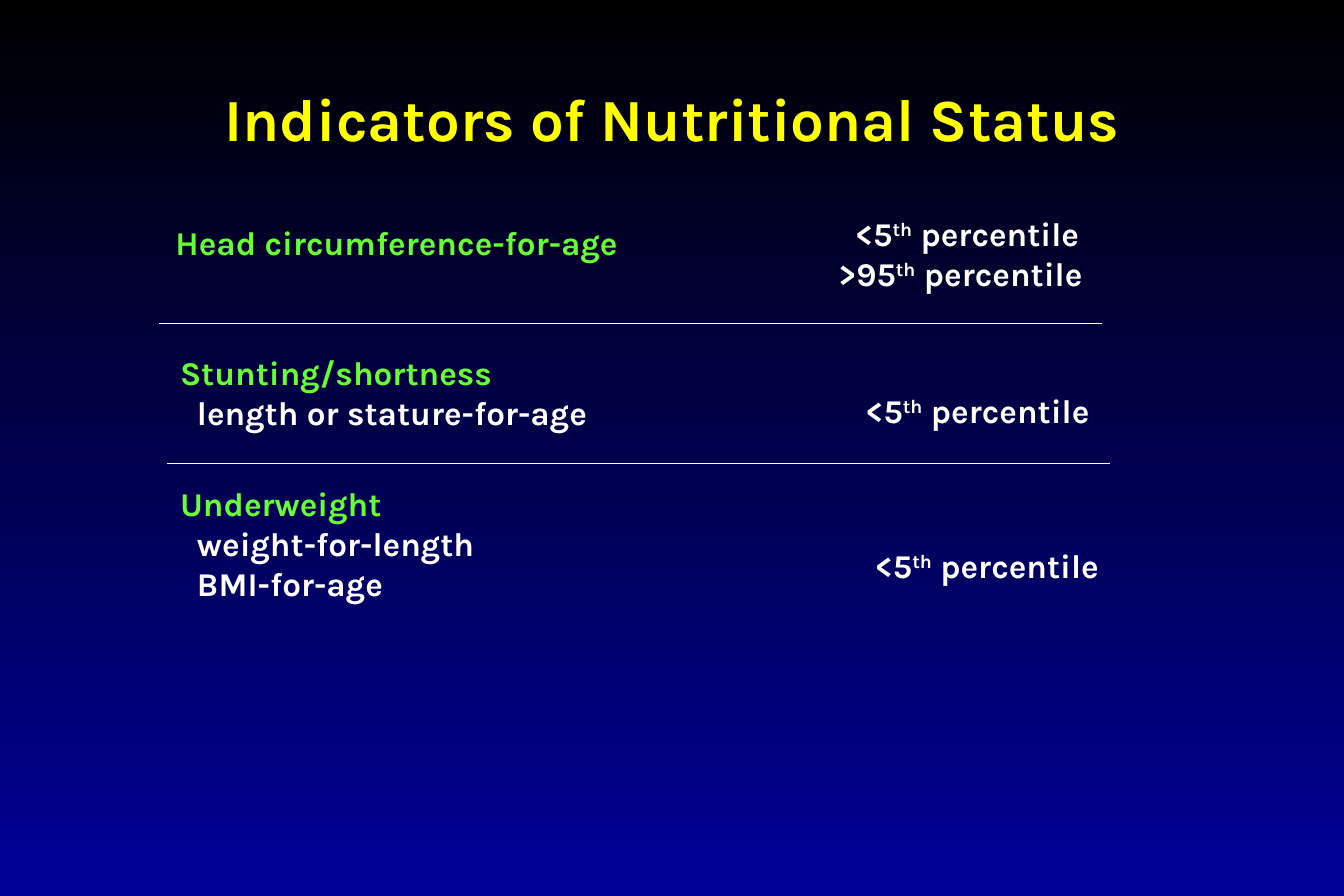
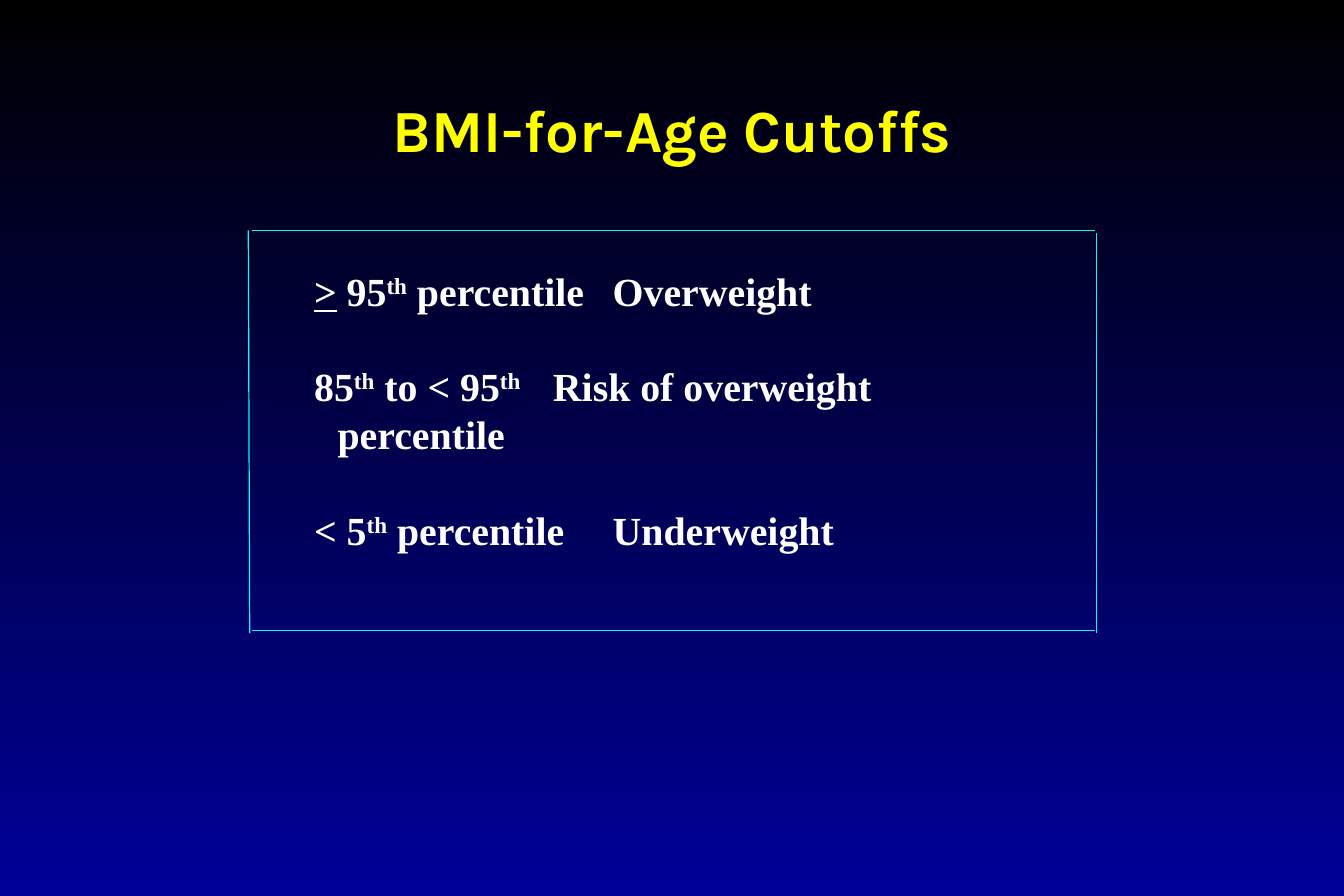
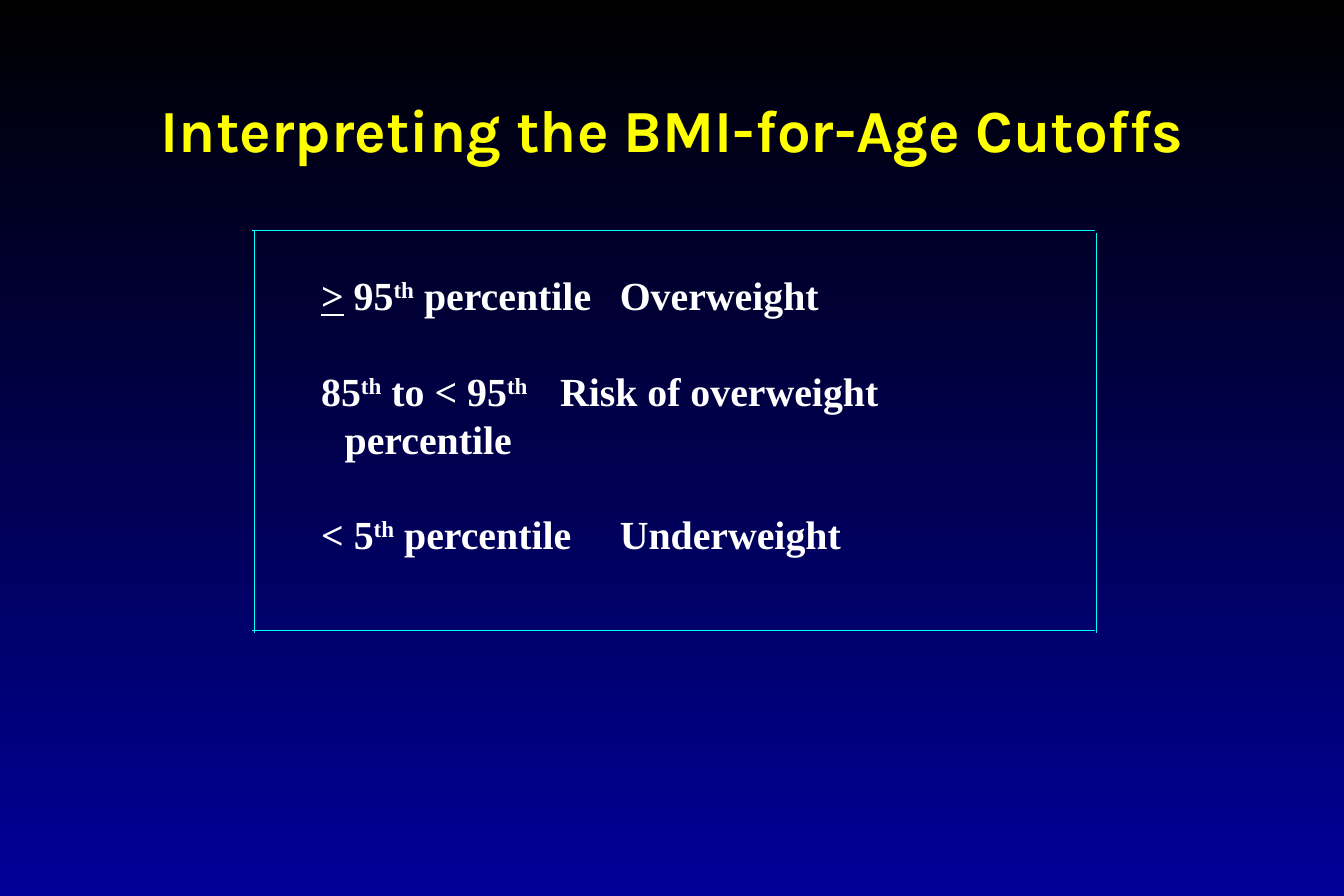
from dataclasses import dataclass

from lxml import etree
from pptx import Presentation
from pptx import util as u
from pptx.dml.color import RGBColor
from pptx.enum import shapes, text
from pptx.oxml.ns import qn


@dataclass(frozen=True)
class Theme:
    """Colours, fonts and type sizes shared by the slides."""
    top: str = "000000"
    bottom: str = "000099"
    title: str = "FFFF00"
    name: str = "66FF33"
    body: str = "FFFFFF"
    frame: str = "00FFFF"
    sans: str = "Karla"
    serif: str = "Times New Roman"
    title_pt: int = 36
    row_pt: int = 20
    cutoff_pt: int = 24
    leading_pt: float = 28.8
    rule_pt: float = 0.75


T = Theme()
WIDTH, HEIGHT = 28.58, 19.05
INDENT = 0.36


def rgb(color):
    """Return a colour object for a hex string."""
    return RGBColor.from_string(color)


def set_background(prs):
    """Give the master a vertical gradient."""
    fill = prs.slide_master.background.fill
    fill.gradient()
    fill.gradient_angle = 270
    for stop, color, position in zip(fill.gradient_stops, (T.top, T.bottom), (0, 1)):
        stop.color.rgb = rgb(color)
        stop.position = position


def add_text(s, x, y, w, h):
    """Add a wrapping text box and return its frame."""
    tf = s.shapes.add_textbox(*map(u.Cm, (x, y, w, h))).text_frame
    tf.word_wrap = True
    return tf


def style(r, font, size, color):
    """Format one bold run."""
    r.font.name, r.font.size, r.font.bold = font, u.Pt(size), True
    r.font.color.rgb = rgb(color)


def write_lines(tf, lines, font, size):
    """Write (text, colour, indent) lines; ^ separates ordinals and underlined signs."""
    for i, (line, color, indent) in enumerate(lines):
        p = tf.add_paragraph() if i else tf.paragraphs[0]
        pPr = p._p.get_or_add_pPr()
        pPr.set("marL", str(u.Cm(indent)))
        pPr.set("indent", "0")
        for part in filter(None, line.split("^")):
            r = p.add_run()
            r.text = part
            style(r, font, size, color)
            if part == "th":
                r.font._element.set("baseline", "30000")
            elif part == ">":
                r.font.underline = True


def add_rule(s, x1, y1, x2, y2, color):
    """Draw a thin straight line."""
    sp = s.shapes.add_connector(shapes.MSO_CONNECTOR.STRAIGHT, *map(u.Cm, (x1, y1, x2, y2)))
    sp.line.color.rgb = rgb(color)
    sp.line.width = u.Pt(T.rule_pt)
    etree.SubElement(sp._element.spPr, qn("a:effectLst"))


def add_title(s, title, y, h):
    """Place the centred title across the slide."""
    tf = add_text(s, 0, y, WIDTH, h)
    tf.vertical_anchor = text.MSO_ANCHOR.MIDDLE
    p = tf.paragraphs[0]
    p.text = title
    p.alignment = text.PP_ALIGN.CENTER
    style(p.runs[0], T.sans, T.title_pt, T.title)


def indicator_row(s, x, y, name, details, values, dx, dy):
    """Place an indicator with its details and, offset from it, its cutoffs."""
    lines = [(name, T.name, 0)] + [(d, T.body, INDENT) for d in details]
    write_lines(add_text(s, x, y, 11.18, len(lines)), lines, T.sans, T.row_pt)
    lines = [(v, T.body, indent) for v, indent in values]
    write_lines(add_text(s, x + dx, y + dy, 7.04, len(lines)), lines, T.sans, T.row_pt)


def indicators_slide(s):
    """Build the list of indicators divided by rules."""
    add_title(s, "Indicators of Nutritional Status", 0.91, 3.18)
    low = "<5^th^ percentile"
    high = ">95^th^ percentile"
    indicator_row(s, 3.48, 4.6, "Head circumference-for-age", [],
                  [(low, INDENT), (high, 0)], 14.1, -0.18)
    indicator_row(s, 3.58, 7.37, "Stunting/shortness", ["length or stature-for-age"],
                  [(low, 0)], 14.58, 0.81)
    indicator_row(s, 3.58, 10.16, "Underweight", ["weight-for-length", "BMI-for-age"],
                  [(low, 0)], 14.78, 1.3)
    for x, y in ((3.38, 6.88), (3.56, 9.86)):
        add_rule(s, x, y, x + 20.05, y, T.body)


def cutoff_frame(s, x, y, w, h, left_top, left_bottom):
    """Draw the four frame lines, with the left one shifted at each end."""
    for edge in (y, y + h):
        add_rule(s, x, edge, x + w, edge, T.frame)
    add_rule(s, x + left_top, y, x + left_bottom, y + h + 0.05, T.frame)
    add_rule(s, x + w + 0.03, y + 0.05, x + w + 0.03, y + h + 0.05, T.frame)


def cutoff_text(s, x, y, w, h, risk_tab):
    """Write the cutoffs and their meanings in two tabbed columns."""
    rows = [("^>^ 95^th^ percentile\tOverweight", 0, 7.85),
            ("85^th^ to < 95^th^\tRisk of overweight", 0, risk_tab),
            ("percentile", 0.5, None),
            ("< 5^th^ percentile\tUnderweight", 0, 7.85)]
    tf = add_text(s, x, y, w, h)
    write_lines(tf, [(line, T.body, indent) for line, indent, _ in rows], T.serif, T.cutoff_pt)
    for i, (p, (_, _, tab)) in enumerate(zip(tf.paragraphs, rows)):
        p.line_spacing = u.Pt(T.leading_pt)
        if tab:
            p.space_before = u.Pt(T.leading_pt if i else 0)
            tabs = etree.SubElement(p._p.get_or_add_pPr(), qn("a:tabLst"))
            etree.SubElement(tabs, qn("a:tab"), pos=str(u.Cm(tab)), algn="l")


def cutoffs_slide(s, title, left_top, left_bottom, dx, dy, risk_tab):
    """Build a framed slide of BMI cutoffs."""
    x, y, w, h = 5.36, 4.9, 17.93, 8.51
    add_title(s, title, 0.84, 3.81)
    cutoff_text(s, x + dx, y + dy, 16.08, 7.87, risk_tab)
    cutoff_frame(s, x, y, w, h, left_top, left_bottom)


def main():
    """Build and save the presentation."""
    prs = Presentation()
    prs.slide_width, prs.slide_height = u.Cm(WIDTH), u.Cm(HEIGHT)
    set_background(prs)
    blank = prs.slide_layouts[6]
    indicators_slide(prs.slides.add_slide(blank))
    cutoffs_slide(prs.slides.add_slide(blank), "BMI-for-Age Cutoffs",
                  -0.08, -0.05, 1.07, 0.64, 7.85)
    cutoffs_slide(prs.slides.add_slide(blank), "Interpreting the BMI-for-Age Cutoffs",
                  0.05, 0.05, 1.22, 0.74, 8.04)
    prs.save("out.pptx")


if __name__ == "__main__":
    main()
